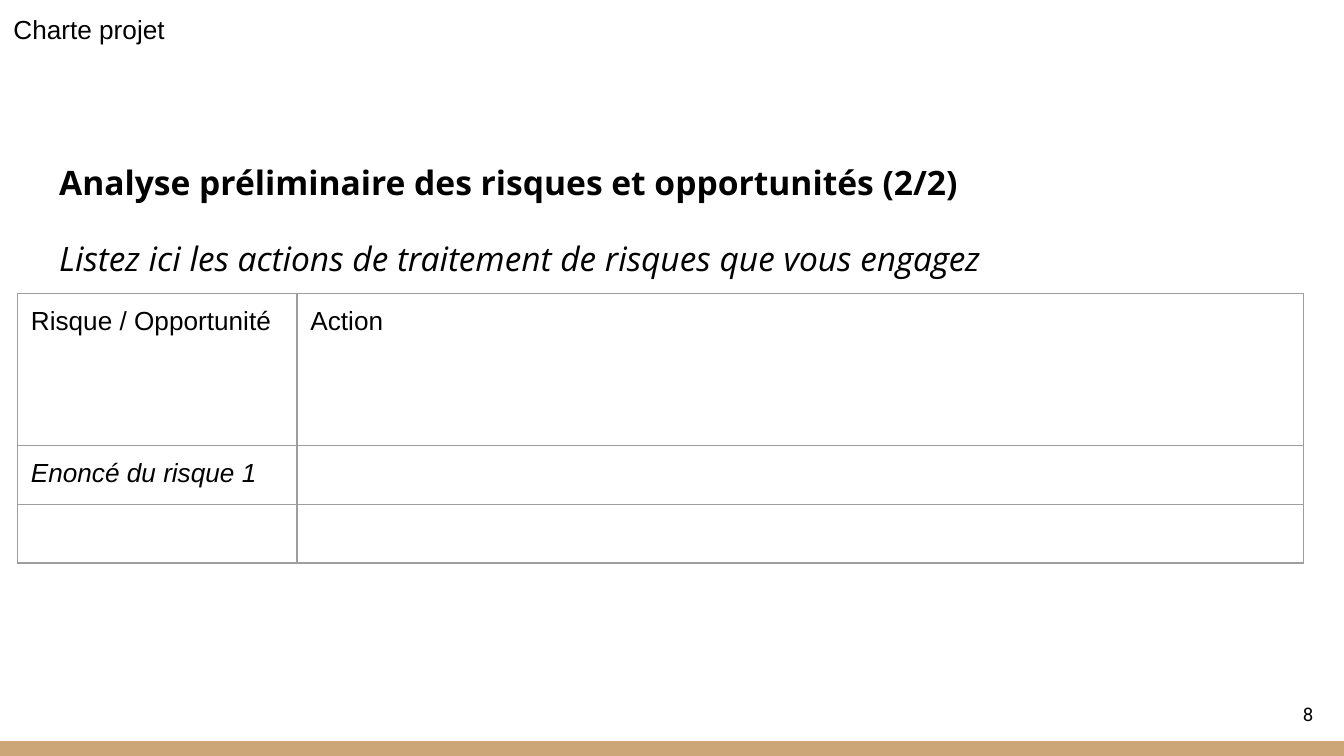
import dataclasses

import lxml.etree
import pptx
import pptx.dml.color
import pptx.enum.shapes
import pptx.enum.text
import pptx.oxml.ns
import pptx.util

ANCHOR = pptx.enum.text.MSO_ANCHOR
ALIGN = pptx.enum.text.PP_ALIGN
SLIDE_WIDTH = pptx.util.Inches(10)
SLIDE_HEIGHT = SLIDE_WIDTH * 9 // 16
COLUMNS, ROWS = 1000, 562.5
MARGIN = 10


@dataclasses.dataclass(frozen=True)
class Theme:
    """Hold the colours, fonts and type sizes of the slide."""
    ink: str = "000000"
    band: str = "CCA677"
    border: str = "9E9E9E"
    border_width: float = 0.75
    label_font: str = "Arial"
    body_font: str = "Open Sans"
    number_font: str = "Roboto"
    label_size: int = 14
    body_size: int = 18
    number_size: int = 10


THEME = Theme()


def across(columns):
    """Return the length of a number of grid columns."""
    return round(SLIDE_WIDTH * columns / COLUMNS)


def down(rows):
    """Return the length of a number of grid rows."""
    return round(SLIDE_HEIGHT * rows / ROWS)


def box(left, top, width, height):
    """Turn grid units into a position and a size."""
    return across(left), down(top), across(width), down(height)


def set_values(target, values):
    """Set every attribute named in a dict of format values."""
    for name, value in values.items():
        setattr(target, name, value)


def place(shape, area):
    """Move and size a shape on the grid."""
    set_values(shape, dict(zip(("left", "top", "width", "height"), box(*area))))


def colour(value):
    """Return the colour of a hexadecimal string."""
    return pptx.dml.color.RGBColor.from_string(value)


def margins(top=MARGIN):
    """Return the text margins, with an optional deeper top."""
    values = dict.fromkeys(("margin_left", "margin_right", "margin_bottom"), across(MARGIN))
    return values | {"margin_top": down(top)}


def write(paragraph, text, font, size, paragraph_format=None, **style):
    """Write one formatted run in a paragraph."""
    run = paragraph.add_run()
    run.text = text
    values = {"name": font, "size": pptx.util.Pt(size), "bold": False, "italic": False}
    set_values(run.font, values | style)
    run.font.color.rgb = colour(THEME.ink)
    set_values(paragraph, paragraph_format or {})


def frame(shape, anchor, top=MARGIN):
    """Prepare the text frame of a shape and return it."""
    values = {"word_wrap": True, "vertical_anchor": anchor,
              "auto_size": pptx.enum.text.MSO_AUTO_SIZE.NONE}
    set_values(shape.text_frame, values | margins(top))
    return shape.text_frame


def add_band(slide):
    """Draw the coloured band at the foot of the slide."""
    rectangle = pptx.enum.shapes.MSO_SHAPE.RECTANGLE
    band = slide.shapes.add_shape(rectangle, *box(0, ROWS - 11, COLUMNS, 11))
    band.shadow.inherit = False
    band.fill.solid()
    band.fill.fore_color.rgb = colour(THEME.band)
    band.line.fill.background()


def fill_title(title, text):
    """Set the title in the top left corner."""
    place(title, (0, 0, 296, 43))
    paragraph = frame(title, ANCHOR.TOP).paragraphs[0]
    write(paragraph, text, THEME.label_font, THEME.label_size, {"alignment": ALIGN.LEFT})


def fill_body(body, lines):
    """Set the unbulleted lines of the body."""
    place(body, (34, 54, 932, 447))
    text_frame = frame(body, ANCHOR.TOP, top=62)
    for index, (text, style) in enumerate(lines):
        paragraph = text_frame.add_paragraph() if index else text_frame.paragraphs[0]
        spacing = {"line_spacing": 1.15, "space_before": pptx.util.Pt(16 if index else 0)}
        write(paragraph, text, THEME.body_font, THEME.body_size, spacing, **style)
        properties = paragraph._p.get_or_add_pPr()
        properties.attrib.update({"marL": "0", "indent": "0"})
        lxml.etree.SubElement(properties, pptx.oxml.ns.qn("a:buNone"))


def add_number(slide, text):
    """Add the slide number in the bottom right corner."""
    number = slide.shapes.add_textbox(*box(927, 510, 60, 43))
    paragraph = frame(number, ANCHOR.MIDDLE).paragraphs[0]
    write(paragraph, text, THEME.number_font, THEME.number_size, {"alignment": ALIGN.RIGHT})


def add_borders(cell):
    """Draw the four borders of a table cell."""
    qn = pptx.oxml.ns.qn
    properties = cell._tc.get_or_add_tcPr()
    width = str(pptx.util.Pt(THEME.border_width))
    for side in "LRTB":
        line = lxml.etree.SubElement(properties, qn("a:ln" + side), w=width)
        fill = lxml.etree.SubElement(line, qn("a:solidFill"))
        lxml.etree.SubElement(fill, qn("a:srgbClr"), val=THEME.border)


def fill_cell(cell, text, style):
    """Format a table cell and write its text."""
    set_values(cell, margins())
    add_borders(cell)
    cell.fill.background()
    paragraph = cell.text_frame.paragraphs[0]
    if text:
        write(paragraph, text, THEME.label_font, THEME.label_size, **style)
    else:
        size = str(THEME.label_size * 100)
        lxml.etree.SubElement(paragraph._p, pptx.oxml.ns.qn("a:endParaRPr"), sz=size)


def add_grid(slide, rows, widths, heights):
    """Add the table of risks and actions."""
    area = box(13, 218.5, sum(widths), sum(heights))
    table = slide.shapes.add_table(len(heights), len(widths), *area).table
    set_values(table, {"first_row": False, "horz_banding": False})
    for column, width in zip(table.columns, widths):
        column.width = across(width)
    for row, height, values in zip(table.rows, heights, rows):
        row.height = down(height)
        for cell, (text, style) in zip(row.cells, values):
            fill_cell(cell, text, style)


def main():
    """Build the slide and save it."""
    presentation = pptx.Presentation()
    set_values(presentation, {"slide_width": SLIDE_WIDTH, "slide_height": SLIDE_HEIGHT})
    slide = presentation.slides.add_slide(presentation.slide_layouts[1])
    empty = ("", {})
    add_band(slide)
    fill_title(slide.shapes.title, "Charte projet")
    fill_body(slide.placeholders[1], [
        ("Analyse préliminaire des risques et opportunités (2/2)", {"bold": True}),
        ("Listez ici les actions de traitement de risques que vous engagez", {"italic": True}),
    ])
    add_number(slide, "8")
    add_grid(slide, [
        [("Risque / Opportunité", {}), ("Action", {})],
        [("Enoncé du risque 1", {"italic": True}), empty],
        [empty, empty],
    ], widths=(208, 749), heights=(113, 43, 43))
    presentation.save("out.pptx")


if __name__ == "__main__":
    main()
